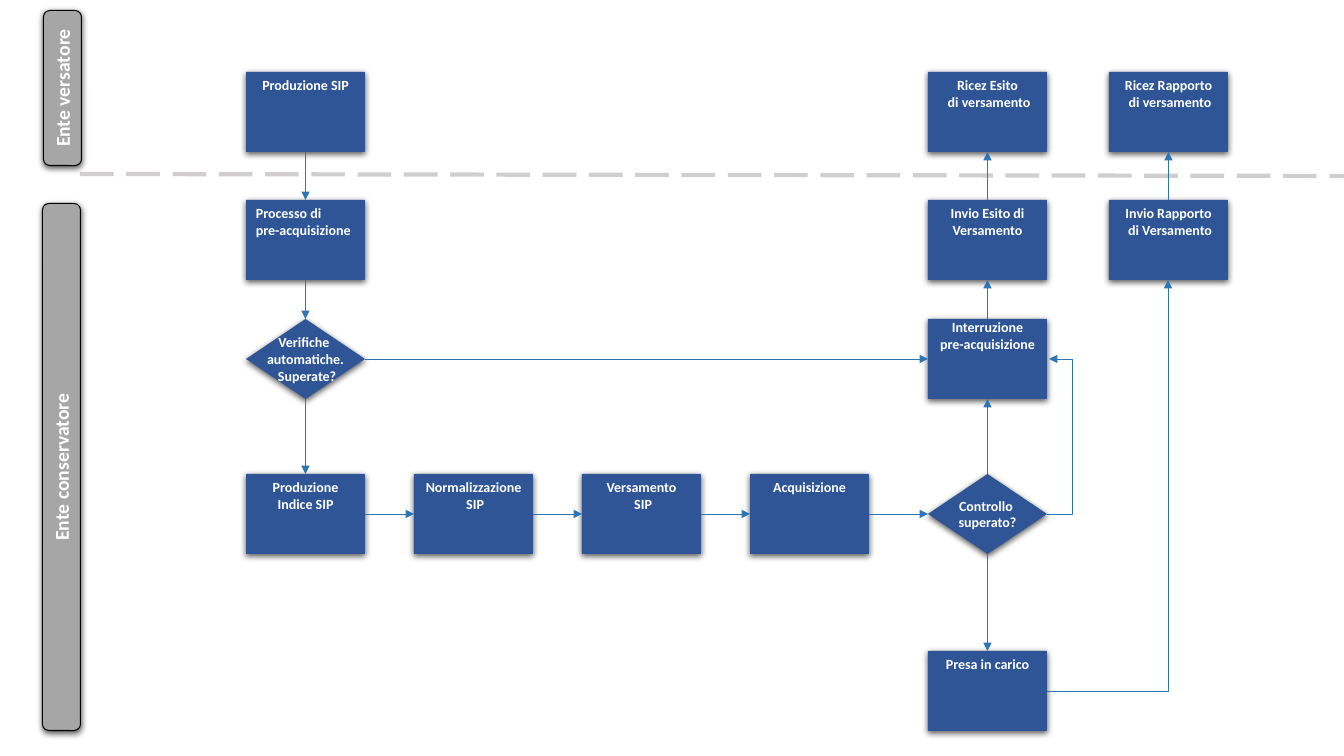
from dataclasses import dataclass

from lxml import etree
from pptx import Presentation, util as u
from pptx.dml.color import RGBColor
from pptx.enum import dml, shapes, text
from pptx.oxml import ns, parse_xml

PX = 914400 / 100.8
BLUE = RGBColor(0x2F, 0x55, 0x97)
ARROW_BLUE = RGBColor(0x2E, 0x75, 0xB6)
LANE_GRAY = RGBColor(0xA6, 0xA6, 0xA6)
DIVIDER_GRAY = RGBColor(0xD0, 0xCE, 0xCE)
BLACK = RGBColor(0, 0, 0)
WHITE = RGBColor(0xFF, 0xFF, 0xFF)

STEP_W, STEP_H = 119, 80
COLUMNS = (246, 414, 582, 750, 928, 1109)
ROWS = (72, 200, 319, 474, 651)
TOP, LEFT, BOTTOM, RIGHT = range(4)
RECT, DIAMOND = shapes.MSO_SHAPE.RECTANGLE, shapes.MSO_SHAPE.DIAMOND
CENTER = text.PP_ALIGN.CENTER

SHADOW = (
    f'<a:effectLst {ns.nsdecls("a")}><a:outerShdw blurRad="57150" dist="19050" '
    'dir="5400000" algn="ctr" rotWithShape="0"><a:srgbClr val="000000">'
    '<a:alpha val="63000"/></a:srgbClr></a:outerShdw></a:effectLst>'
)


@dataclass(frozen=True)
class Step:
    key: str
    col: int
    row: int
    lines: tuple[str, ...]
    kind: shapes.MSO_SHAPE = RECT
    wrap: bool = True
    align: text.PP_ALIGN = CENTER
    tight: bool = False


@dataclass(frozen=True)
class Lane:
    name: str
    x: int
    y: int
    w: int
    h: int


@dataclass(frozen=True)
class Flow:
    source: str
    source_side: int
    target: str
    target_side: int


LANES = (
    Lane("Ente versatore", 43, 11, 38, 155),
    Lane("Ente conservatore", 42, 204, 38, 527),
)
STEPS = (
    Step("produzione", 0, 0, ("Produzione SIP",)),
    Step("processo", 0, 1, ("Processo di", "pre-acquisizione"), align=text.PP_ALIGN.LEFT),
    Step("verifiche", 0, 2, ("Verifiche ", "automatiche.", " Superate?"), DIAMOND, False),
    Step("indice", 0, 3, ("Produzione Indice SIP",)),
    Step("normalizzazione", 1, 3, ("Normalizzazione", " SIP")),
    Step("versamento", 2, 3, ("Versamento", " SIP"), wrap=False),
    Step("acquisizione", 3, 3, ("Acquisizione",)),
    Step("controllo", 4, 3, ("Controllo ", "superato?"), DIAMOND, False),
    Step("presa", 4, 4, ("Presa in carico",), wrap=False),
    Step("interruzione", 4, 2, ("Interruzione", "pre-acquisizione"), wrap=False, tight=True),
    Step("invio_esito", 4, 1, ("Invio Esito di Versamento",)),
    Step("ricez_esito", 4, 0, ("Ricez Esito", " di versamento"), wrap=False),
    Step("invio_rapporto", 5, 1, ("Invio Rapporto", " di Versamento"), wrap=False),
    Step("ricez_rapporto", 5, 0, ("Ricez Rapporto", " di versamento"), wrap=False),
)
FLOWS = (
    Flow("produzione", BOTTOM, "processo", TOP),
    Flow("processo", BOTTOM, "verifiche", TOP),
    Flow("verifiche", BOTTOM, "indice", TOP),
    Flow("verifiche", RIGHT, "interruzione", LEFT),
    Flow("indice", RIGHT, "normalizzazione", LEFT),
    Flow("normalizzazione", RIGHT, "versamento", LEFT),
    Flow("versamento", RIGHT, "acquisizione", LEFT),
    Flow("acquisizione", RIGHT, "controllo", LEFT),
    Flow("controllo", TOP, "interruzione", BOTTOM),
    Flow("controllo", BOTTOM, "presa", TOP),
    Flow("interruzione", TOP, "invio_esito", BOTTOM),
    Flow("invio_esito", TOP, "ricez_esito", BOTTOM),
    Flow("invio_rapporto", TOP, "ricez_rapporto", BOTTOM),
)


def px(n: float) -> int:
    return round(n * PX)


def write(shape, lines: tuple[str, ...], size: int, align: text.PP_ALIGN = CENTER) -> None:
    frame = shape.text_frame
    frame.vertical_anchor = text.MSO_ANCHOR.TOP
    frame.text = "\n".join(lines)
    for paragraph in frame.paragraphs:
        paragraph.alignment = align
        font = paragraph.font
        font.name, font.size, font.bold = "Calibri", u.Pt(size), True
        font.color.rgb = WHITE


def add_block(slide, kind: shapes.MSO_SHAPE, x: int, y: int, w: int, h: int, fill: RGBColor):
    block = slide.shapes.add_shape(kind, px(x), px(y), px(w), px(h))
    block.fill.solid()
    block.fill.fore_color.rgb = fill
    block.line.fill.background()
    return block


def cast_shadow(block) -> None:
    block._element.spPr.append(parse_xml(SHADOW))


def draw_step(slide, step: Step):
    block = add_block(slide, step.kind, COLUMNS[step.col], ROWS[step.row], STEP_W, STEP_H, BLUE)
    cast_shadow(block)
    write(block, step.lines, 10, step.align)
    frame = block.text_frame
    frame.word_wrap = step.wrap
    if step.kind == DIAMOND:
        frame.vertical_anchor = text.MSO_ANCHOR.MIDDLE
    if step.tight:
        frame.margin_left = frame.margin_right = px(4)
        frame.margin_top = frame.margin_bottom = 0
    return block


def draw_lane(slide, lane: Lane) -> None:
    # The label is laid out flat around the lane's centre, then turned upright
    shift = (lane.h - lane.w) // 2
    label = add_block(slide, shapes.MSO_SHAPE.ROUNDED_RECTANGLE,
                      lane.x - shift, lane.y + shift, lane.h, lane.w, LANE_GRAY)
    label.rotation = 270
    label.line.color.rgb, label.line.width = BLACK, u.Pt(0.75)
    cast_shadow(label)
    write(label, (lane.name,), 14)


def draw_line(slide, kind: shapes.MSO_CONNECTOR, start: tuple[int, int], end: tuple[int, int],
              color: RGBColor, width: float):
    line = slide.shapes.add_connector(kind, *map(px, start + end))
    line.line.color.rgb, line.line.width = color, u.Pt(width)
    etree.SubElement(line._element.spPr, ns.qn("a:effectLst"))
    return line


def draw_arrow(slide, kind: shapes.MSO_CONNECTOR, start: tuple[int, int] = (0, 0),
               end: tuple[int, int] = (0, 0)):
    arrow = draw_line(slide, kind, start, end, ARROW_BLUE, 0.5)
    ln = arrow._element.spPr.find(ns.qn("a:ln"))
    etree.SubElement(ln, ns.qn("a:tailEnd"), type="triangle")
    return arrow


def main() -> None:
    prs = Presentation()
    prs.slide_width, prs.slide_height = px(1344), px(756)
    slide = prs.slides.add_slide(prs.slide_layouts[6])

    # Divider between the two lanes
    divider = draw_line(slide, shapes.MSO_CONNECTOR.STRAIGHT, (80, 174), (1344, 176),
                        DIVIDER_GRAY, 3)
    divider.line.dash_style = dml.MSO_LINE.LONG_DASH

    # Process steps and the straight flows between them
    blocks = {step.key: draw_step(slide, step) for step in STEPS}
    for flow in FLOWS:
        arrow = draw_arrow(slide, shapes.MSO_CONNECTOR.STRAIGHT)
        arrow.begin_connect(blocks[flow.source], flow.source_side)
        arrow.end_connect(blocks[flow.target], flow.target_side)

    # Failed check loops back to the interruption
    right, middle = COLUMNS[4] + STEP_W, STEP_H // 2
    loop = draw_arrow(slide, shapes.MSO_CONNECTOR.ELBOW,
                      (right, ROWS[3] + middle), (right + 2, ROWS[2] + middle))
    guides = loop._element.spPr.prstGeom.get_or_add_avLst()
    etree.SubElement(guides, ns.qn("a:gd"), name="adj1", fmla="val 1300000")

    # Acceptance leads to the report with a single bend
    report = draw_arrow(slide, shapes.MSO_CONNECTOR.ELBOW,
                        (right, ROWS[4] + middle), (COLUMNS[5] + STEP_W // 2, ROWS[1] + STEP_H))
    report._element.spPr.prstGeom.set("prst", "bentConnector2")

    # Lane labels
    for lane in LANES:
        draw_lane(slide, lane)

    prs.save("out.pptx")


if __name__ == "__main__":
    main()
